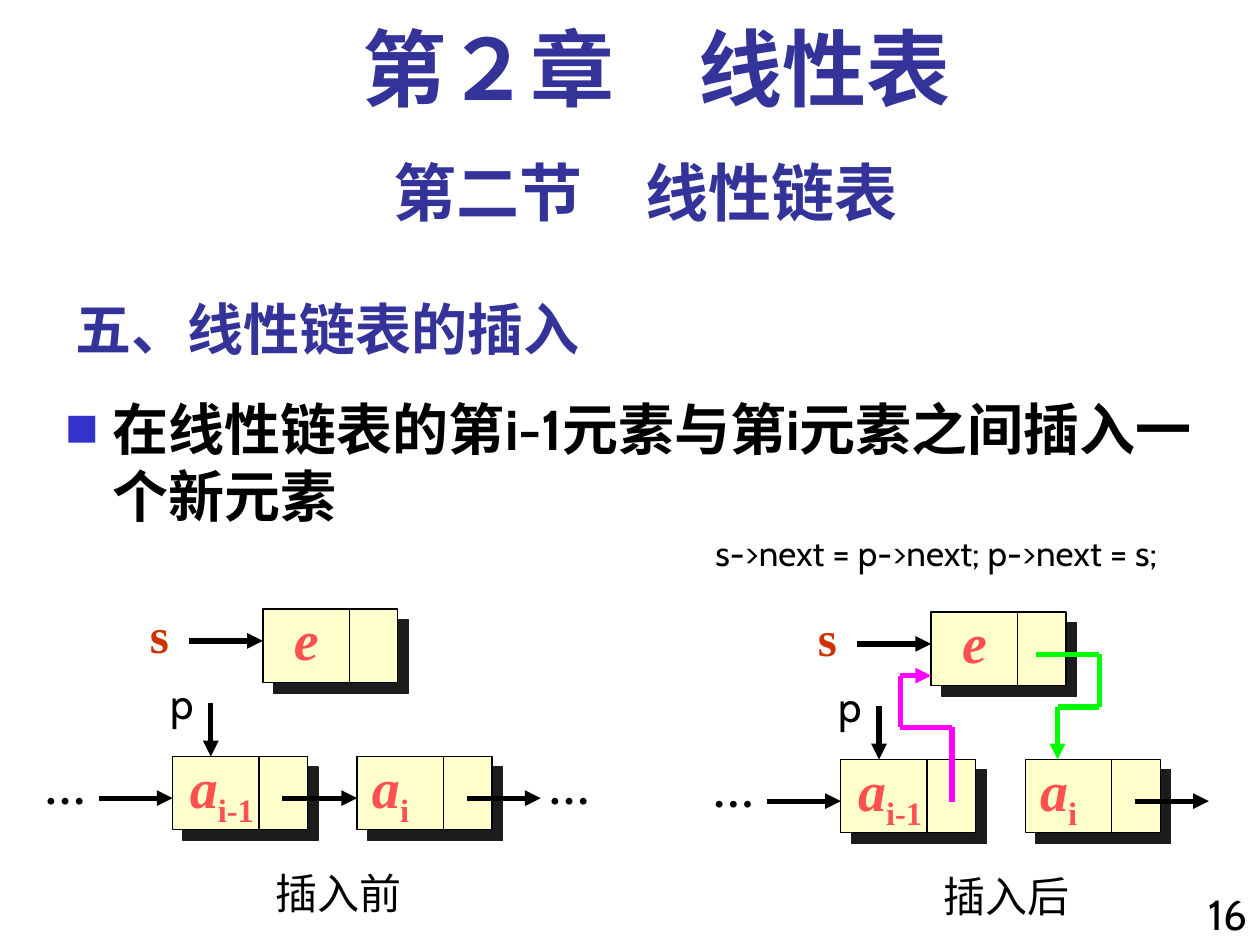
from collections import namedtuple
from dataclasses import dataclass
from itertools import pairwise

from lxml import etree
from pptx import Presentation
from pptx.dml.color import RGBColor
from pptx.enum.shapes import MSO_CONNECTOR, MSO_SHAPE
from pptx.enum.text import MSO_ANCHOR, MSO_AUTO_SIZE, PP_ALIGN
from pptx.oxml.ns import qn
from pptx.util import Cm, Pt

LEFT, MID, RIGHT = PP_ALIGN.LEFT, PP_ALIGN.CENTER, PP_ALIGN.RIGHT
TOP, BOTTOM = MSO_ANCHOR.TOP, MSO_ANCHOR.BOTTOM
FIXED = MSO_AUTO_SIZE.NONE
RECT = MSO_SHAPE.RECTANGLE
LINE = MSO_CONNECTOR.STRAIGHT

Box = namedtuple("Box", "x y w h")
Type = namedtuple("Type", "size face color bold")
HAN, SANS, SERIF = "Noto Sans CJK SC", "Cabin", "Times New Roman"


@dataclass(frozen=True)
class Theme:
    """Colours and type styles of the slide."""
    black: str = "000000"
    cream: str = "FFFFCC"
    shade: str = "1C1C1C"
    bullet: str = "3333CC"
    old: str = "FF00FF"
    new: str = "00FF00"
    chapter: Type = Type(48, SERIF, "333399", True)
    section: Type = Type(36, SANS, "333399", True)
    title: Type = Type(32, HAN, "333399", True)
    body: Type = Type(32, SANS, "000000", True)
    item: Type = Type(32, SERIF, "FF5050", True)
    name: Type = Type(28, SERIF, "CC3300", True)
    dots: Type = Type(24, SERIF, "000000", True)
    plain: Type = Type(24, SANS, "000000", False)
    code: Type = Type(20, SANS, "000000", False)


THEME = Theme()
NODE = Box(0, 0, 2.72, 1.48)
SPLIT, PORT, MIDDLE, REACH = 1.74, 2.21, 0.84, 1.49


def add(parent, tag, **attrs):
    """Append a DrawingML element and return it."""
    return etree.SubElement(parent, qn(tag), attrs)


def place(shape, box):
    """Move and size a shape to a box in centimetres."""
    shape.left, shape.top, shape.width, shape.height = map(Cm, box)


def write(shape, text, style, align=LEFT, before=0, wrap=True, anchor=TOP):
    """Fill a shape with one paragraph and return that paragraph."""
    frame = shape.text_frame
    frame.auto_size, frame.word_wrap = FIXED, wrap
    frame.vertical_anchor = anchor
    para = frame.paragraphs[0]
    para.add_run().text = text
    para.alignment, para.space_before = align, Pt(before)
    font = para.font
    font.size, font.name, font.bold = Pt(style.size), style.face, style.bold
    font.color.rgb = RGBColor.from_string(style.color)
    base = para._p.pPr.find(qn("a:defRPr"))
    add(base, "a:ea", typeface=HAN)
    return para


def label(shapes, box, text, style, **opts):
    """Add a text box and return its paragraph."""
    return write(shapes.add_textbox(*map(Cm, box)), text, style, **opts)


def line(shapes, start, end, color=THEME.black, width=3, arrow=True):
    """Draw a straight line, with an arrowhead at its end if wanted."""
    link = shapes.add_connector(LINE, *map(Cm, (*start, *end)))
    link.line.color.rgb = RGBColor.from_string(color)
    link.line.width = Pt(width)
    if arrow:
        add(link.line._get_or_add_ln(), "a:tailEnd", type="triangle")
    add(link._element.spPr, "a:effectLst")


def route(shapes, x, y, points, color):
    """Draw a bent arrow through points given relative to x, y."""
    legs = list(pairwise((x + a, y + b) for a, b in points))
    for leg in legs:
        line(shapes, *leg, color=color, arrow=leg is legs[-1])


def node(shapes, x, y):
    """Draw a shadowed list node with a data part and a link part."""
    cell = shapes.add_shape(RECT, *map(Cm, (x, y, NODE.w, NODE.h)))
    cell.fill.solid()
    cell.fill.fore_color.rgb = RGBColor.from_string(THEME.cream)
    cell.line.color.rgb = RGBColor.from_string(THEME.black)
    cell.line.width = Pt(0.75)
    cell.shadow.inherit = False
    glow = add(cell._element.spPr.find(qn("a:effectLst")), "a:outerShdw",
               dist=str(Pt(8.5)), dir="2700000", algn="ctr", rotWithShape="0")
    add(glow, "a:srgbClr", val=THEME.shade)
    line(shapes, (x + SPLIT, y), (x + SPLIT, y + NODE.h), width=0.75, arrow=False)


def entry(shapes, x, y, sub, box):
    """Draw a chain node named a with a subscript."""
    node(shapes, x, y)
    para = label(shapes, Box(x + box.x, y + box.y, box.w, box.h), "a",
                 THEME.item, wrap=False)
    para.runs[0].font.italic = True
    low = para.add_run()
    low.text = sub
    low._r.get_or_add_rPr().set("baseline", "-25000")


def panel(slide, box, caption, done):
    """Draw the list before or after the insertion in a box."""
    shapes = slide.shapes.add_group_shape().shapes
    x, y = box.x, box.y
    top, row = y + 0.21, y + 3.18
    fresh, prev, following = x + 4.66, x + 2.84, x + 6.56
    mid = row + MIDDLE

    entry(shapes, prev, row, "i-1", Box(0.1, -0.21, 1.8, 1.8))
    entry(shapes, following, row, "i", Box(0.05, -0.21, 1.24, 1.8))
    node(shapes, fresh, top)
    para = label(shapes, Box(fresh + 0.05, y, 1.65, 1.63), "e", THEME.item, align=MID)
    para.runs[0].font.italic = True
    label(shapes, Box(x + 2.13, y, 0.89, 1.45), "s", THEME.name, wrap=False)
    label(shapes, Box(x + 2.54, y + 1.47, 1.9, 1.27), "p", THEME.plain, before=15)
    label(shapes, Box(x, row, 1.9, 1.27), "…", THEME.dots, before=15)
    label(shapes, Box(fresh, y + 5.29, 3.5, 1.27), caption, THEME.plain, before=15)

    line(shapes, (prev - REACH, mid), (prev, mid))
    line(shapes, (fresh - REACH, y + 0.85), (fresh, y + 0.85))
    line(shapes, (x + 3.61, y + 2.11), (x + 3.61, row))
    line(shapes, (following + PORT, mid), (following + PORT + REACH, mid))
    if done:
        route(shapes, x, y, [(5.08, 4.03), (5.08, 2.53), (4.04, 2.53),
                             (4.04, 1.49), (4.66, 1.49)], THEME.old)
        route(shapes, x, y, [(6.78, 1.06), (8.05, 1.06), (8.05, 2.12),
                             (7.21, 2.12), (7.21, 3.18)], THEME.new)
    else:
        line(shapes, (prev + PORT, mid), (following, mid))
        label(shapes, Box(x + 10.16, row, 1.9, 1.27), "…", THEME.dots, before=15)


def header(slide, box):
    """Write the chapter and section names."""
    para = label(slide.shapes, Box(box.x + 0.43, box.y, 23.06, 2.11),
                 "第２章　线性表", THEME.chapter, align=MID, before=12)
    para.line_spacing = 0.9
    label(slide.shapes, Box(box.x, box.y + 2.54, box.w, 1.78),
          "第二节　线性链表", THEME.section, align=MID, before=22.5)


def topic(slide, box):
    """Fill the title and the bulleted body."""
    title, body = slide.placeholders
    place(title, Box(box.x + 0.2, box.y, 15.88, 1.9))
    write(title, "五、线性链表的插入", THEME.title, anchor=BOTTOM)
    place(body, Box(box.x, box.y + 2.31, box.w, 4.01))
    para = write(body, "在线性链表的第i-1元素与第i元素之间插入一个新元素",
                 THEME.body, before=12)
    props = para._p.pPr
    props.set("marL", str(Cm(0.95)))
    props.set("indent", str(Cm(-0.95)))
    base = props.find(qn("a:defRPr"))
    tint = add(props, "a:buClr")
    add(tint, "a:srgbClr", val=THEME.bullet)
    marks = (tint, add(props, "a:buSzPct", val="60000"),
             add(props, "a:buFont", typeface=HAN), add(props, "a:buChar", char="■"))
    for mark in marks:
        base.addprevious(mark)


def main():
    """Build and save the slide."""
    deck = Presentation()
    deck.slide_width, deck.slide_height = Cm(25.4), Cm(19.05)
    slide = deck.slides.add_slide(deck.slide_layouts[1])
    header(slide, Box(1.27, 0.43, 23.5, 4.32))
    topic(slide, Box(1.07, 5.51, 24.33, 6.32))
    panel(slide, Box(0.64, 12.07, 12.06, 6.56), "插入前", False)
    panel(slide, Box(14.11, 12.13, 10.25, 6.56), "插入后", True)
    label(slide.shapes, Box(14.17, 10.59, 11.23, 1.12),
          "s->next = p->next; p->next = s;", THEME.code, before=12.5)
    label(slide.shapes, Box(23.7, 17.78, 1.7, 1.5), "16", THEME.plain,
          align=RIGHT, before=15)
    deck.save("out.pptx")


if __name__ == "__main__":
    main()
